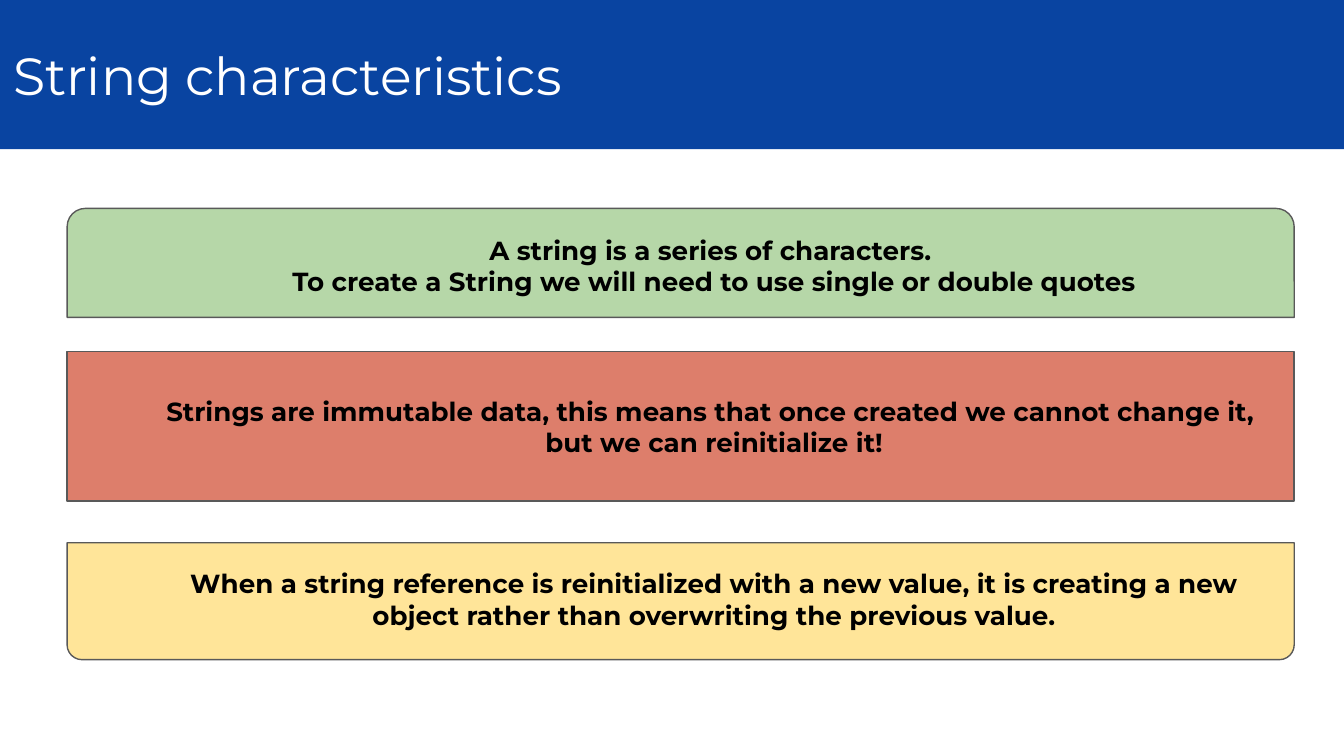
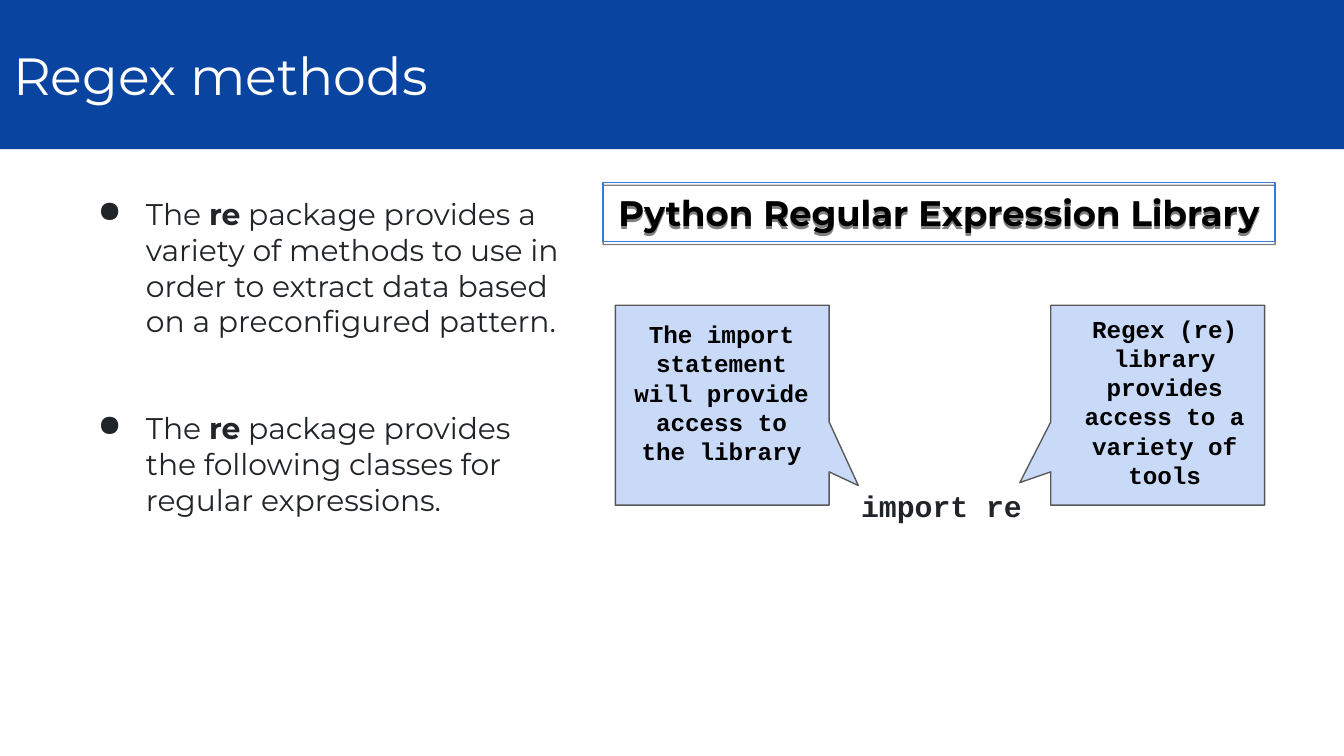
from lxml.etree import SubElement
from pptx import Presentation
from pptx.dml.color import RGBColor
from pptx.enum.shapes import MSO_SHAPE as Shape
from pptx.enum.text import MSO_ANCHOR as Anchor, PP_ALIGN as Align
from pptx.oxml.ns import qn
from pptx.util import Cm, Pt

WIDTH, HEIGHT, HEADER_H = 25.4, 14.29, 2.82
BLUE, GREY, INK, PALE = "0944A1", "595959", "212529", "C9DAF8"
SANS, MONO = "Montserrat", "Courier New"
INSET, INDENT, HANG = 0.25, 1.27, 0.91

CARD_X, CARD_W = 1.27, 23.19
CARDS = [
    (3.94, 2.06, Shape.ROUND_2_SAME_RECTANGLE, (0.167, 0), "B6D7A8",
     ["A string is a series of characters. \v"
      "To create a String we will need to use single or double quotes"]),
    (6.65, 2.82, Shape.RECTANGLE, (), "DD7E6B",
     ["Strings are immutable data, this means that once created we cannot change it, ",
      "but we can reinitialize it!"]),
    (10.26, 2.21, Shape.ROUND_2_SAME_RECTANGLE, (0, 0.127), "FFE599",
     ["When a string reference is reinitialized with a new value, it is creating a new "
      "object rather than overwriting the previous value."]),
]

BULLETS = [
    "The **re** package provides a variety of methods to use in order to extract "
    "data based on a preconfigured pattern.",
    "The **re** package provides the following classes for regular expressions.",
]
CALLOUT_Y, CALLOUT_W, CALLOUT_H = 5.77, 4.04, 3.78
CALLOUTS = [
    (19.86, (-0.645, 0.387, 0), (19.89, 5.69, 4.24, 3.81),
     "Regex (re) library provides access to a variety of tools"),
    (11.63, (0.637, 0.402, 0), (11.68, 5.79, 3.91, 3.28),
     "The import statement will provide access to the library"),
]


def rgb(value):
    """Turn a hex string into a colour."""
    return RGBColor.from_string(value)


def add_shape(slide, kind, at, fill=None, line=None, adj=()):
    """Add a flat preset shape."""
    sp = slide.shapes.add_shape(kind, *map(Cm, at))
    sp.shadow.inherit = False
    for i, value in enumerate(adj):
        sp.adjustments[i] = value
    if fill:
        sp.fill.solid()
        sp.fill.fore_color.rgb = rgb(fill)
    else:
        sp.fill.background()
    if line:
        sp.line.color.rgb = rgb(line)
        sp.line.width = Pt(0.75)
    else:
        sp.line.fill.background()
    return sp


def add_box(slide, at):
    """Add an empty text box."""
    return slide.shapes.add_textbox(*map(Cm, at))


def write(sp, paragraphs, size, font=SANS, color="000000", bold=False,
          align=Align.CENTER, anchor=Anchor.MIDDLE, indent=0, bullet=None, gap=0):
    """Fill a shape with paragraphs, where ** toggles bold."""
    tf = sp.text_frame
    tf.word_wrap = True
    tf.vertical_anchor = anchor
    tf.margin_left = tf.margin_right = tf.margin_top = tf.margin_bottom = Cm(INSET)
    for i, text in enumerate(paragraphs):
        p = tf.add_paragraph() if i else tf.paragraphs[0]
        p.alignment = align
        if i and gap:
            p.space_before = Pt(gap)
        props = p._p.get_or_add_pPr()
        props.set("marL", str(Cm(indent)))
        props.set("indent", str(-Cm(HANG) if bullet else 0))
        if bullet:
            tint = SubElement(props, qn("a:buClr"))
            SubElement(tint, qn("a:srgbClr"), val=color)
            SubElement(props, qn("a:buChar"), char=bullet)
        for j, part in enumerate(text.split("**")):
            for k, piece in enumerate(part.split("\v")):
                if k:
                    p.add_line_break()
                r = p.add_run()
                r.text = piece
                r.font.name, r.font.size = font, Pt(size)
                r.font.bold = bold or j % 2 == 1
                r.font.color.rgb = rgb(color)


def add_shadow(sp):
    """Drop a hard half-transparent shadow straight down."""
    effects = sp._element.spPr.find(qn("a:effectLst"))
    shadow = SubElement(effects, qn("a:outerShdw"), blurRad="0", dist=str(Pt(1.5)),
                        dir="5400000", algn="bl", rotWithShape="0")
    tint = SubElement(shadow, qn("a:srgbClr"), val="000000")
    SubElement(tint, qn("a:alpha"), val="50000")


def add_slide(prs, title):
    """Add a blank slide with the title band."""
    slide = prs.slides.add_slide(prs.slide_layouts[6])
    band = add_shape(slide, Shape.RECTANGLE, (0, 0, WIDTH, HEADER_H), BLUE)
    write(band, [title], 28, color="FFFFFF", align=Align.LEFT)
    return slide


def build_characteristics(prs):
    """Build the slide of three stacked cards."""
    slide = add_slide(prs, "String characteristics")
    for top, height, kind, adj, fill, text in CARDS:
        card = add_shape(slide, kind, (CARD_X, top, CARD_W, height), fill, GREY, adj)
        write(card, text, 14, bold=True, indent=INDENT)


def build_regex(prs):
    """Build the slide of bullets and callouts."""
    slide = add_slide(prs, "Regex methods")
    write(add_box(slide, (1.24, 3.45, 9.6, 6.6)), BULLETS, 16, color=INK,
          align=Align.LEFT, anchor=Anchor.TOP, indent=INDENT, bullet="●", gap=38)
    for left, adj, _, _ in CALLOUTS:
        add_shape(slide, Shape.ROUNDED_RECTANGULAR_CALLOUT,
                  (left, CALLOUT_Y, CALLOUT_W, CALLOUT_H), PALE, GREY, adj)
    banner = add_shape(slide, Shape.RECTANGLE, (11.4, 3.45, 12.7, 1.12), line="3C78D8")
    add_shadow(banner)
    write(banner, ["Python Regular Expression Library"], 19, bold=True)
    write(add_box(slide, (13.03, 8.99, 8.26, 1.12)), ["import re"], 16, MONO, INK,
          bold=True, indent=INDENT)
    for _, _, at, text in CALLOUTS:
        write(add_box(slide, at), [text], 13, MONO, bold=True, anchor=Anchor.TOP)


def main():
    """Build and save the presentation."""
    prs = Presentation()
    prs.slide_width, prs.slide_height = Cm(WIDTH), Cm(HEIGHT)
    build_characteristics(prs)
    build_regex(prs)
    prs.save("out.pptx")


if __name__ == "__main__":
    main()
